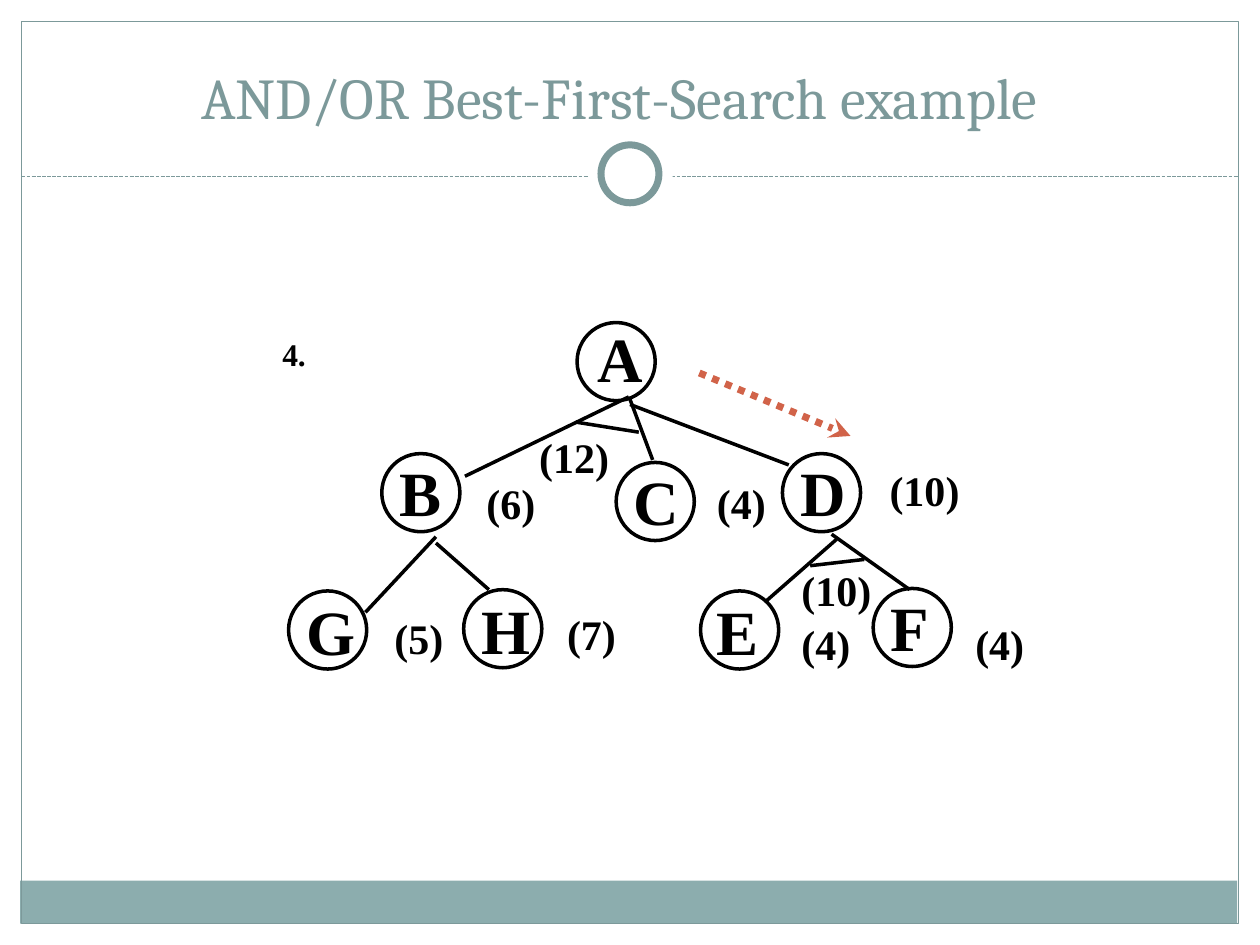
import pptx
import pptx.util
import pptx.dml.color
import pptx.enum.dml
import pptx.enum.shapes
import pptx.enum.text
import pptx.oxml.ns
from lxml import etree
from pptx.util import Inches, Pt

COLORS = {"paper": "FFFFFF", "band": "8CADAE", "frame": "7C999A",
          "ink": "000000", "arrow": "D16349"}
NODE_SIZE = 0.62
SHAPE = pptx.enum.shapes.MSO_SHAPE
DASH = pptx.enum.dml.MSO_LINE

deck = pptx.Presentation()
deck.slide_width, deck.slide_height = Inches(10), Inches(7.5)
page = deck.slides.add_slide(deck.slide_layouts[5])


def rgb(name):
    return pptx.dml.color.RGBColor.from_string(COLORS[name])


def add_line(start, end, color="ink", width=2, dash=None):
    line = page.shapes.add_connector(
        pptx.enum.shapes.MSO_CONNECTOR.STRAIGHT,
        *[Inches(value) for value in (*start, *end)])
    line.line.color.rgb = rgb(color)
    line.line.width = Pt(width)
    if dash:
        line.line.dash_style = dash
    etree.SubElement(line._element.spPr, pptx.oxml.ns.qn("a:effectLst"))
    return line


# Frame: left, top, width, height, shape, fill, line colour, line width
frame_parts = [
    (0, 0, 10, 1.52, SHAPE.RECTANGLE, "paper", None, 0),
    (0, 0, 0.17, 7.5, SHAPE.RECTANGLE, "paper", None, 0),
    (9.83, 0, 0.17, 7.5, SHAPE.RECTANGLE, "paper", None, 0),
    (0.16, 6.99, 9.66, 0.34, SHAPE.RECTANGLE, "band", None, 0),
    (0.17, 0.17, 9.66, 7.16, SHAPE.RECTANGLE, None, "frame", 0.75),
    (4.67, 1.05, 0.67, 0.67, SHAPE.OVAL, "paper", None, 0),
    (4.77, 1.15, 0.46, 0.46, SHAPE.OVAL, "paper", "frame", 4),
]
# Tree nodes: left and top of the circle, then of the label
nodes = {
    "A": (4.58, 2.56, 4.67, 2.58),
    "B": (3.03, 3.6, 3.1, 3.65),
    "C": (4.89, 3.67, 4.96, 3.72),
    "D": (6.21, 3.6, 6.28, 3.65),
    "G": (2.29, 4.69, 2.36, 4.75),
    "H": (3.68, 4.68, 3.75, 4.74),
    "E": (5.56, 4.69, 5.62, 4.75),
    "F": (6.93, 4.67, 7, 4.72),
}
circles = [(left, top, NODE_SIZE, NODE_SIZE, SHAPE.OVAL, None, "ink", 2)
           for left, top, _, _ in nodes.values()]

for left, top, width, height, kind, fill, color, weight in frame_parts + circles:
    shape = page.shapes.add_shape(
        kind, Inches(left), Inches(top), Inches(width), Inches(height))
    shape.shadow.inherit = False
    if fill:
        shape.fill.solid()
        shape.fill.fore_color.rgb = rgb(fill)
    else:
        shape.fill.background()
    if color:
        shape.line.color.rgb = rgb(color)
        shape.line.width = Pt(weight)
    else:
        shape.line.fill.background()
    if height == 7.16:  # the divider lies above the frame, below the ring
        add_line((0.17, 1.4), (9.83, 1.4), "frame", 0.75, DASH.SQUARE_DOT)

# Title, brought in front of the frame
title = page.shapes.title
page.shapes._spTree.append(title._element)
title.left, title.top = Inches(0.25), Inches(0.17)
title.width, title.height = Inches(9.33), Inches(0.92)
title.text_frame.text = "AND/OR Best-First-Search example"
title.text_frame.vertical_anchor = pptx.enum.text.MSO_ANCHOR.BOTTOM
para = title.text_frame.paragraphs[0]
para.alignment = pptx.enum.text.PP_ALIGN.CENTER
span = para.runs[0]
span.font.name, span.font.size = "Cambria", Pt(33)
span.font.color.rgb = rgb("frame")

# Branches, and the short strokes that join AND branches
branches = [
    ((5, 3.17), (5.18, 3.65)), ((4.99, 3.15), (3.69, 3.78)),
    ((5, 3.21), (6.26, 3.69)), ((4.57, 3.35), (5.07, 3.43)),
    ((6.64, 4.28), (6.07, 4.78)), ((6.6, 4.24), (7.22, 4.68)),
    ((6.43, 4.49), (6.86, 4.44)),
    ((3.46, 4.26), (2.9, 4.86)), ((3.46, 4.31), (3.88, 4.68)),
]
for start, end in branches:
    add_line(start, end)

arrow = add_line((5.55, 2.96), (6.75, 3.46), "arrow", 4, DASH.ROUND_DOT)
etree.SubElement(arrow.line._get_or_add_ln(), pptx.oxml.ns.qn("a:tailEnd"),
                 type="stealth")

# Labels: text, left, top, width, height, size, line spacing
costs = [
    ("(5)", 3.06, 4.89), ("(7)", 4.43, 4.86), ("(4)", 6.29, 4.94),
    ("(4)", 7.67, 4.94), ("(10)", 6.29, 4.51), ("(6)", 3.79, 3.82),
    ("(12)", 4.21, 3.46), ("(4)", 5.62, 3.82), ("(10)", 6.99, 3.72),
]
labels = [(name, left, top, 0.75, 0.58, 36, 0.88)
          for name, (_, _, left, top) in nodes.items()]
labels += [(text, left, top, 0.69 if len(text) == 3 else 0.86, 0.4, 24, 0.85)
           for text, left, top in costs]
labels.append(("4.", 2.17, 2.67, 0.45, 0.32, 18, 0.88))

for text, left, top, width, height, size, spacing in labels:
    box = page.shapes.add_textbox(
        Inches(left), Inches(top), Inches(width), Inches(height))
    frame = box.text_frame
    frame.word_wrap = True
    frame.margin_left = frame.margin_right = Inches(0.07)
    frame.margin_top = frame.margin_bottom = Inches(0.03)
    frame.text = text
    para = frame.paragraphs[0]
    para.line_spacing = spacing
    span = para.runs[0]
    span.font.name, span.font.size = "Times New Roman", Pt(size)
    span.font.bold = True
    span.font.color.rgb = rgb("ink")

deck.save("out.pptx")
